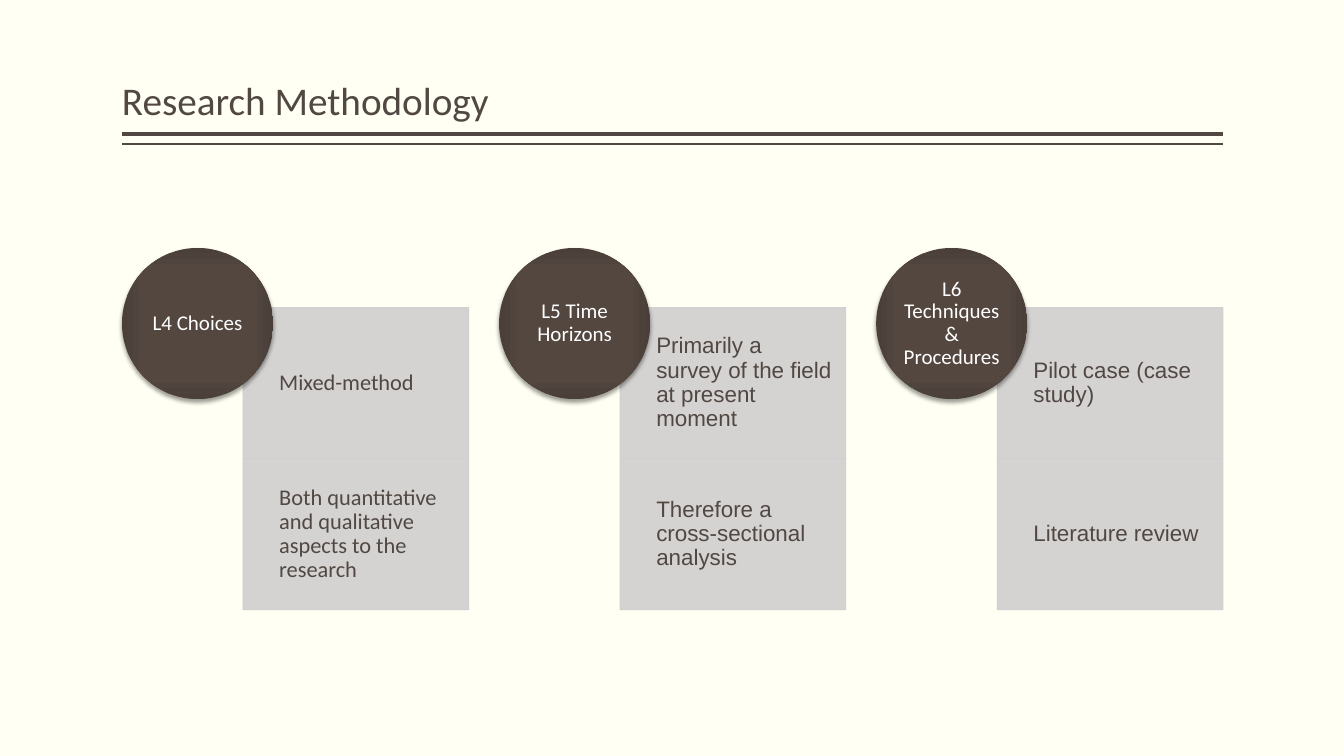
from dataclasses import dataclass

from pptx import Presentation
from pptx.dml.color import RGBColor
from pptx.enum.shapes import MSO_CONNECTOR, MSO_SHAPE
from pptx.enum.text import MSO_ANCHOR, MSO_AUTO_SIZE, PP_ALIGN
from pptx.oxml import parse_xml
from pptx.oxml.ns import nsdecls, qn
from pptx.util import Inches, Pt


@dataclass(frozen=True)
class Theme:
    background: RGBColor = RGBColor.from_string("FFFFF3")
    ink: RGBColor = RGBColor.from_string("514843")
    panel: RGBColor = RGBColor.from_string("D0CFCF")
    white: RGBColor = RGBColor.from_string("FFFFFF")
    title_size: Pt = Pt(28)
    body_size: Pt = Pt(16)
    circle_size: Pt = Pt(15)
    font: str = "Calibri"
    alternate_font: str = "Arial"


theme = Theme()

CIRCLE_GRADIENT = f"""<a:gradFill {nsdecls("a")} rotWithShape="1"><a:gsLst>
<a:gs pos="0"><a:srgbClr val="544740"/></a:gs>
<a:gs pos="71000"><a:srgbClr val="534740"/></a:gs>
<a:gs pos="100000"><a:srgbClr val="4A3F39"/></a:gs></a:gsLst>
<a:path path="rect"><a:fillToRect l="50000" t="50000" r="50000" b="50000"/></a:path>
</a:gradFill>"""
CIRCLE_SHADOW = f"""<a:effectLst {nsdecls("a")}>
<a:outerShdw blurRad="{Pt(3.1)}" dist="{Pt(2)}" dir="5400000" rotWithShape="0">
<a:srgbClr val="000000"><a:alpha val="38000"/></a:srgbClr></a:outerShdw></a:effectLst>"""


def write_text(shape, text, size, color, font, insets, anchor, align=PP_ALIGN.LEFT):
    """Fill a shape with one paragraph; insets are left, top, right, bottom in inches."""
    frame = shape.text_frame
    frame.text = text
    frame.word_wrap = True
    frame.auto_size = MSO_AUTO_SIZE.NONE
    frame.vertical_anchor = anchor
    (frame.margin_left, frame.margin_top,
     frame.margin_right, frame.margin_bottom) = map(Inches, insets)
    para = frame.paragraphs[0]
    para.alignment = align
    para.line_spacing = 0.9
    para.font.size = size
    para.font.name = font
    para.font.color.rgb = color


deck = Presentation()
deck.slide_width, deck.slide_height = Inches(13.33), Inches(7.5)
page = deck.slides.add_slide(deck.slide_layouts[5])
page.background.fill.solid()
page.background.fill.fore_color.rgb = theme.background

LEFT, RIGHT = 1.21, 12.13

# Title with its double rule
title = page.shapes.title
title.left, title.top = Inches(LEFT), Inches(0.08)
title.width, title.height = Inches(RIGHT - LEFT), Inches(1.2)
write_text(title, "Research Methodology", theme.title_size, theme.ink, theme.font,
           (0, 0.05, 0, 0.05), MSO_ANCHOR.BOTTOM)
for rule_top, rule_width in ((1.33, 3), (1.43, 1)):
    rule = page.shapes.add_connector(MSO_CONNECTOR.STRAIGHT, Inches(RIGHT), Inches(rule_top),
                                     Inches(LEFT), Inches(rule_top))
    rule.line.color.rgb = theme.ink
    rule.line.width = Pt(rule_width)
    rule._element.spPr.append(parse_xml(f"<a:effectLst {nsdecls('a')}/>"))

# Research layers: a circle overlapping two stacked panels
layers = (
    ("L4 Choices", theme.font,
     ("Mixed-method", "Both quantitative and qualitative aspects to the research")),
    ("L5 Time Horizons", theme.alternate_font,
     ("Primarily a survey of the field at present moment",
      "Therefore a cross-sectional analysis")),
    ("L6 Techniques & Procedures", theme.alternate_font,
     ("Pilot case (case study)", "Literature review")),
)
COLUMN_STEP, PANEL_OFFSET = 3.74, 1.2
PANEL_TOP, PANEL_WIDTH, PANEL_HEIGHT = 3.05, 2.24, 1.5
CIRCLE_TOP, DIAMETER = 2.46, 1.5

for column, (heading, panel_font, details) in enumerate(layers):
    left = LEFT + column * COLUMN_STEP
    for row, detail in enumerate(details):
        panel = page.shapes.add_shape(
            MSO_SHAPE.RECTANGLE, Inches(left + PANEL_OFFSET),
            Inches(PANEL_TOP + row * PANEL_HEIGHT), Inches(PANEL_WIDTH), Inches(PANEL_HEIGHT))
        panel.shadow.inherit = False
        panel.fill.solid()
        panel.fill.fore_color.rgb = theme.panel
        panel.line.color.rgb = theme.panel
        panel.line.width = Pt(0.5)
        for color in panel._element.spPr.iter(qn("a:srgbClr")):
            color.append(parse_xml(f'<a:alpha {nsdecls("a")} val="90000"/>'))
        write_text(panel, detail, theme.body_size, theme.ink, panel_font,
                   (0.36, 0.12, 0.12, 0.12), MSO_ANCHOR.MIDDLE)

    circle = page.shapes.add_shape(MSO_SHAPE.OVAL, Inches(left), Inches(CIRCLE_TOP),
                                   Inches(DIAMETER), Inches(DIAMETER))
    circle.line.fill.background()
    properties = circle._element.spPr
    properties.find(qn("a:prstGeom")).addnext(parse_xml(CIRCLE_GRADIENT))
    properties.append(parse_xml(CIRCLE_SHADOW))
    write_text(circle, heading, theme.circle_size, theme.white, theme.font,
               (0, 0, 0, 0), MSO_ANCHOR.MIDDLE, PP_ALIGN.CENTER)

deck.save("out.pptx")
